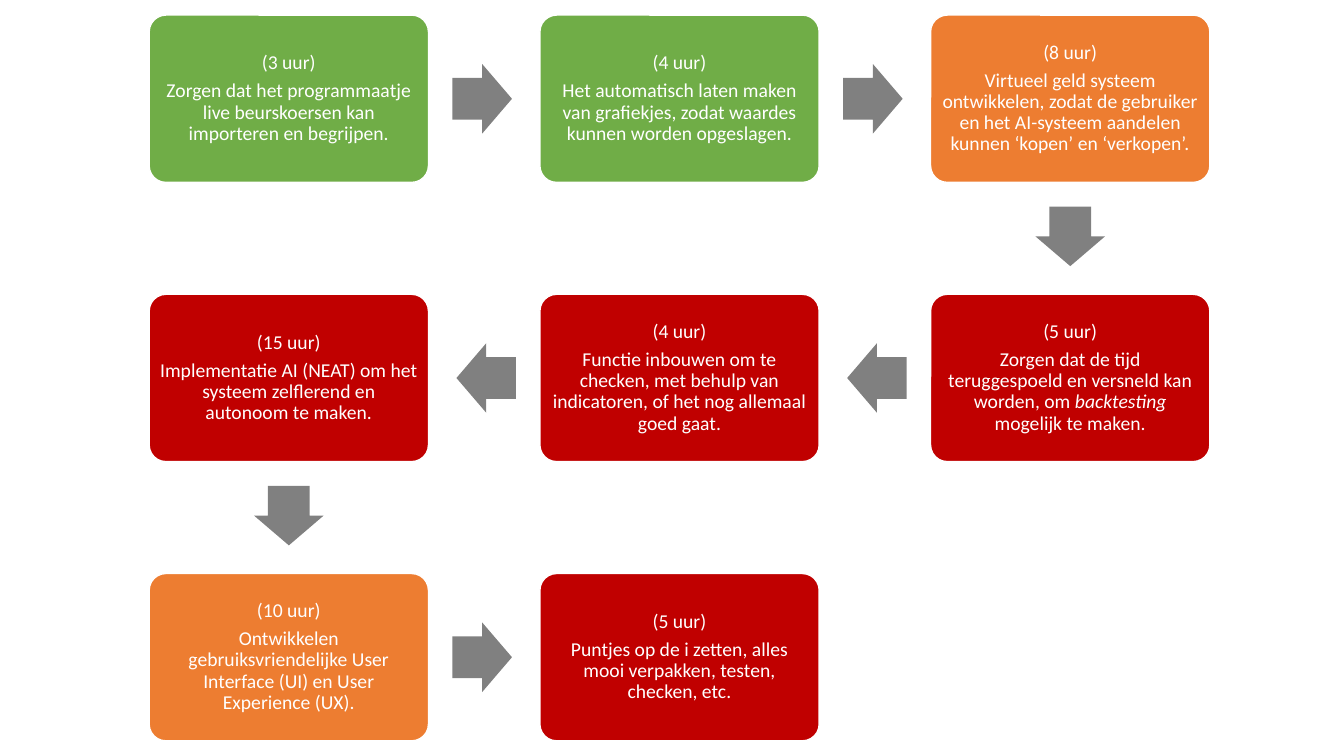
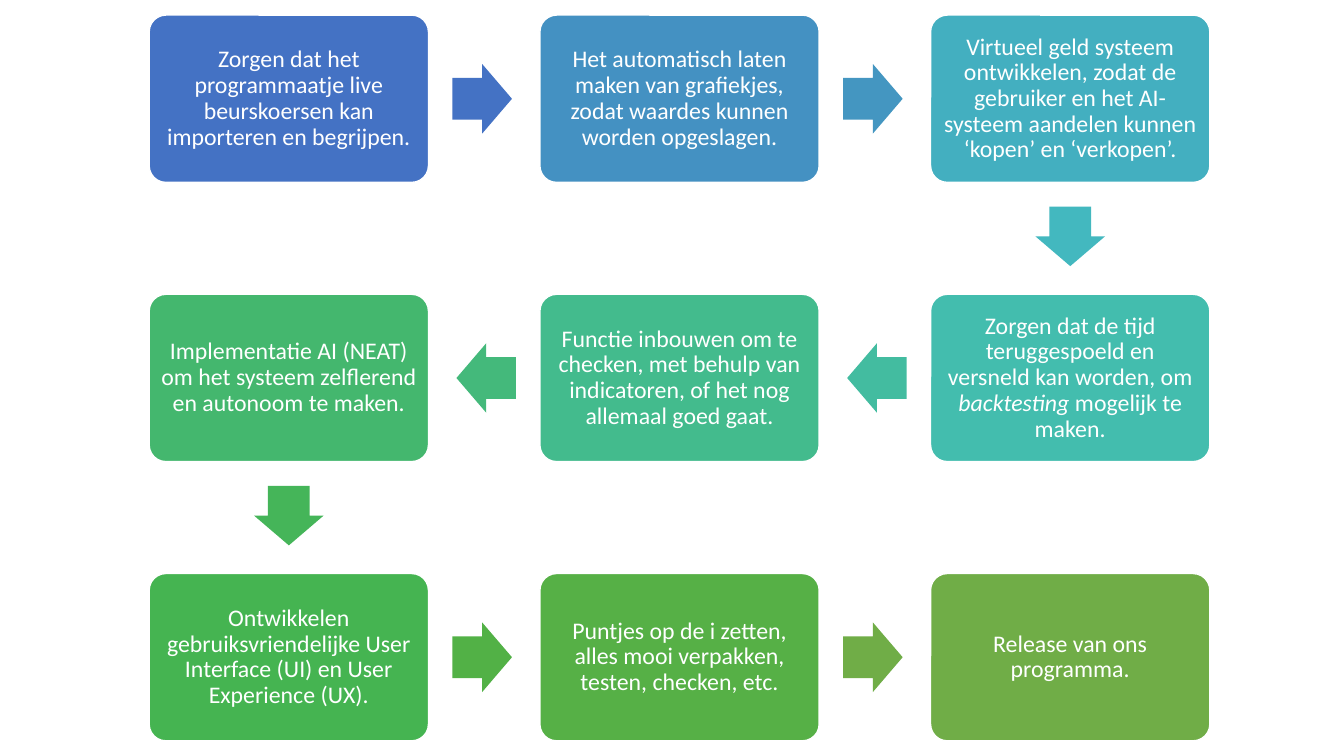
from math import atan2, degrees
from pptx import Presentation
from pptx.dml.color import RGBColor
from pptx.enum.shapes import MSO_SHAPE
from pptx.enum.text import MSO_ANCHOR, PP_ALIGN
from pptx.util import Inches, Pt

# Grid: three columns, walked left to right, then back, then left to right
LEFT, TOP = 1.48, 0.15
BOX_W, BOX_H = 2.77, 1.66
STEP_X, STEP_Y = 3.875, 2.77
HEAD_W, HEAD_H, BACK = 0.59, 0.69, 0.02
CELLS = [(0, 0), (1, 0), (2, 0), (2, 1), (1, 1), (0, 1), (0, 2), (1, 2), (2, 2)]

GREEN, AMBER, RED, GREY, WHITE = "70AD47", "ED7D31", "C00000", "808080", "FFFFFF"

# Asterisks set off italic words
TASKS = [
    "Zorgen dat het programmaatje live beurskoersen kan importeren en begrijpen.",
    "Het automatisch laten maken van grafiekjes, zodat waardes kunnen worden opgeslagen.",
    "Virtueel geld systeem ontwikkelen, zodat de gebruiker en het AI-systeem "
    "aandelen kunnen ‘kopen’ en ‘verkopen’.",
    "Zorgen dat de tijd teruggespoeld en versneld kan worden, om *backtesting* mogelijk te maken.",
    "Functie inbouwen om te checken, met behulp van indicatoren, of het nog allemaal goed gaat.",
    "Implementatie AI (NEAT) om het systeem zelflerend en autonoom te maken.",
    "Ontwikkelen gebruiksvriendelijke User Interface (UI) en User Experience (UX).",
    "Puntjes op de i zetten, alles mooi verpakken, testen, checken, etc.",
    "Release van ons programma.",
]
HOURS = [3, 4, 8, 5, 4, 15, 10, 5]

timed = [[f"({n} uur)", task] for n, task in zip(HOURS, TASKS)]
plain = [[task] for task in TASKS]
# Each slide: text size, texts, box fills, arrow fills
SLIDES = [
    (14, timed, [GREEN, GREEN, AMBER, RED, RED, RED, AMBER, RED], [GREY] * 7),
    (17, plain,
     ["4472C4", "4491C2", "43AFC0", "43BDAE", "43BB8D", "44B76E", "45B451", "56B046", GREEN],
     ["4472C4", "4496C1", "43B8BF", "43BCA0", "44B97B", "45B559", "52B146", GREEN]),
]


def color(code):
    """Turn a hex string into a colour."""
    return RGBColor.from_string(code)


def block(slide, kind, mid_x, mid_y, wide, high, fill):
    """Add a flat filled shape around a centre point, in inches."""
    shape = slide.shapes.add_shape(kind, Inches(mid_x - wide / 2), Inches(mid_y - high / 2),
                                   Inches(wide), Inches(high))
    shape.shadow.inherit = False
    shape.fill.solid()
    shape.fill.fore_color.rgb = color(fill)
    shape.line.fill.background()
    return shape


deck = Presentation()
deck.slide_width, deck.slide_height = Inches(13.33), Inches(7.5)
mids = [(LEFT + BOX_W / 2 + col * STEP_X, TOP + BOX_H / 2 + row * STEP_Y) for col, row in CELLS]

for size, texts, fills, heads in SLIDES:
    slide = deck.slides.add_slide(deck.slide_layouts[6])

    for (x, y), paras, fill in zip(mids, texts, fills):
        box = block(slide, MSO_SHAPE.ROUNDED_RECTANGLE, x, y, BOX_W, BOX_H, fill)
        box.adjustments[0] = 0.1
        box.line.color.rgb = color(WHITE)
        box.line.width = Pt(1)
        frame = box.text_frame
        frame.word_wrap = True
        frame.vertical_anchor = MSO_ANCHOR.MIDDLE
        frame.margin_left = frame.margin_right = Pt(0.3 * size)
        frame.margin_top = frame.margin_bottom = Pt(0.3 * size)
        for i, text in enumerate(paras):
            para = frame.add_paragraph() if i else frame.paragraphs[0]
            para.alignment = PP_ALIGN.CENTER
            para.line_spacing = 0.9
            para.space_after = Pt(0.35 * size)
            for j, part in enumerate(text.split("*")):
                run = para.add_run()
                run.text = part
                run.font.name = "Calibri"
                run.font.size = Pt(size)
                run.font.italic = j % 2 == 1
                run.font.color.rgb = color(WHITE)

    # Each arrow sits midway between two boxes, a touch nearer the first
    for (x1, y1), (x2, y2), fill in zip(mids, mids[1:], heads):
        dx, dy = x2 - x1, y2 - y1
        gap = abs(dx) + abs(dy)
        # Boxes differ in width and height, but centres share the same midpoint
        arrow = block(slide, MSO_SHAPE.RIGHT_ARROW, (x1 + x2) / 2 - BACK * dx / gap,
                      (y1 + y2) / 2 - BACK * dy / gap, HEAD_W, HEAD_H, fill)
        arrow.adjustments[0], arrow.adjustments[1] = 0.6, 0.5
        arrow.rotation = degrees(atan2(dy, dx))

deck.save("out.pptx")
